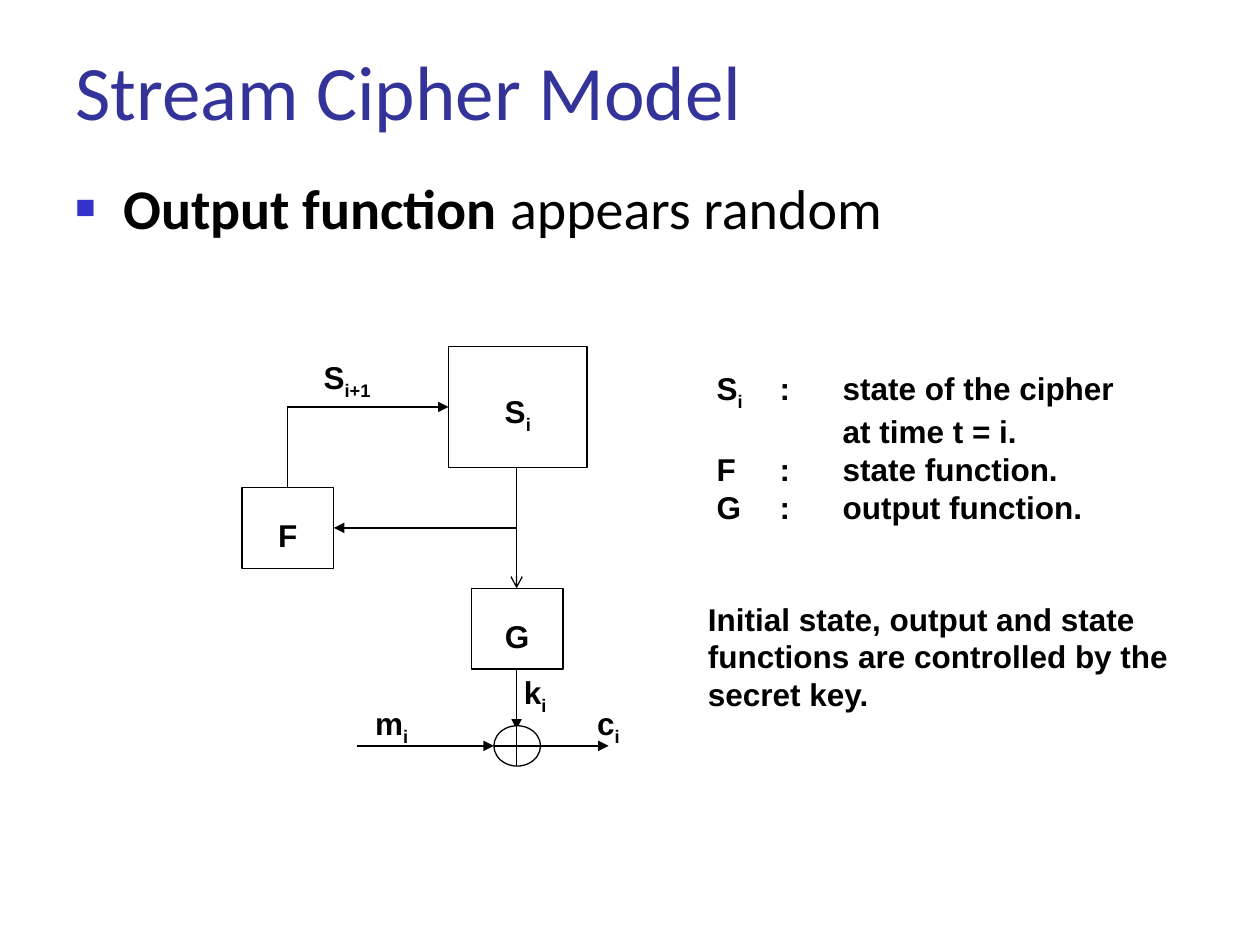
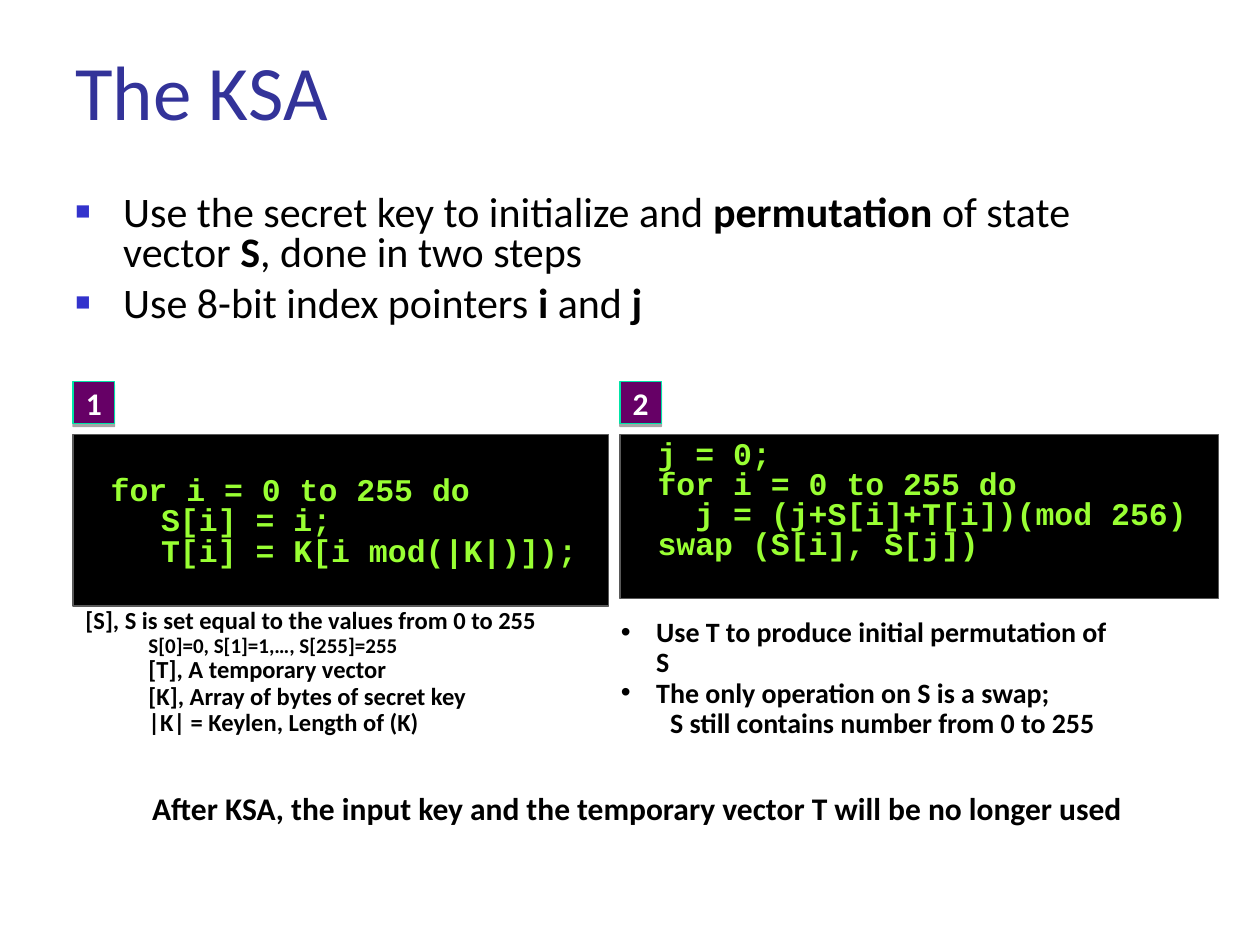
"""Build two slides on stream ciphers: the model and the key scheduling."""
from dataclasses import dataclass

from lxml.etree import SubElement
from pptx import Presentation
from pptx.dml.color import RGBColor
from pptx.enum.shapes import MSO_CONNECTOR, MSO_SHAPE
from pptx.enum.text import MSO_ANCHOR, PP_ALIGN
from pptx.oxml.ns import qn
from pptx.util import Inches, Pt

COLUMNS, ROWS = 100, 75
BLACK, WHITE = "000000", "FFFFFF"
TITLE_BLUE, BULLET_BLUE = "333399", "3333CC"
CODE_GREEN, CODE_EDGE = "99FF33", "595959"
BADGE_PURPLE, BADGE_EDGE = "660066", "00E4A7"


def color(code):
    """Turn a hex string into a colour."""
    return RGBColor.from_string(code)


def element(parent, tag, **attributes):
    """Append a drawing element to its parent."""
    return SubElement(parent, qn(f"a:{tag}"), {name: str(value) for name, value in attributes.items()})


@dataclass
class Line:
    """One paragraph; parts between tildes are accented, lengths are columns."""
    text: str
    margin: float = 0
    hang: float = 0
    bullet: str = ""
    size: float = 0
    tabs: tuple = ()


@dataclass
class Style:
    """The look shared by the paragraphs of one text."""
    size: float
    font: str = "Calibri"
    color: str = BLACK
    bold: bool = False
    accent: str = "bold"
    spacing: float = 1
    before: float = 0
    align: PP_ALIGN = PP_ALIGN.LEFT
    bullet_color: str = BLACK
    bullet_size: int = 100


TITLE = Style(44, color=TITLE_BLUE)
DIAGRAM = Style(18, font="Arial", bold=True, accent="subscript")
CODE = Style(18, font="Courier New", color=CODE_GREEN, bold=True, spacing=0.8)
BADGE = Style(18, color=WHITE, bold=True, align=PP_ALIGN.CENTER)
NODE = Style(18, font="Arial", bold=True, accent="subscript", align=PP_ALIGN.CENTER)


def note(size):
    """Give the bold note style in one size."""
    return Style(size, bold=True, spacing=0.9)


def body(size, **options):
    """Give the main bullet style in one size."""
    return Style(size, bullet_color=BULLET_BLUE, bullet_size=60, **options)


class Deck:
    """Hold the presentation and the current slide, and draw on its grid."""

    def __init__(self):
        """Start an empty deck."""
        self.presentation = Presentation()
        self.presentation.slide_width = Inches(10)
        self.presentation.slide_height = Inches(7.5)
        self.slide = None

    def x(self, columns):
        """Convert columns to a length."""
        return round(self.presentation.slide_width * columns / COLUMNS)

    def y(self, rows):
        """Convert rows to a length."""
        return round(self.presentation.slide_height * rows / ROWS)

    def area(self, left, top, width, height):
        """Convert a grid area to lengths."""
        return self.x(left), self.y(top), self.x(width), self.y(height)

    def new_slide(self, title):
        """Add a slide with its title."""
        self.slide = self.presentation.slides.add_slide(self.presentation.slide_layouts[6])
        self.text((5, 3, 90, 12.5), [title], TITLE)

    def fill_frame(self, text_frame, lines, style):
        """Fill a text frame with styled paragraphs."""
        text_frame.word_wrap = True
        for index, line in enumerate(lines):
            line = Line(line) if isinstance(line, str) else line
            paragraph = text_frame.paragraphs[0] if index == 0 else text_frame.add_paragraph()
            paragraph.alignment = style.align
            paragraph.line_spacing = style.spacing
            if index:
                paragraph.space_before = Pt(style.before)
            self.layout(paragraph, line, style)
            for position, part in enumerate(line.text.split("~")):
                if part:
                    self.run(paragraph, part, line.size or style.size, style, position % 2)

    def layout(self, paragraph, line, style):
        """Set the indents, bullet and tab stops of a paragraph."""
        properties = paragraph._p.get_or_add_pPr()
        properties.set("marL", str(self.x(line.margin)))
        properties.set("indent", str(-self.x(line.hang)))
        if line.bullet:
            element(element(properties, "buClr"), "srgbClr", val=style.bullet_color)
            element(properties, "buSzPct", val=style.bullet_size * 1000)
            element(properties, "buFont", typeface="Arial")
            element(properties, "buChar", char=line.bullet)
        else:
            element(properties, "buNone")
        if line.tabs:
            stops = element(properties, "tabLst")
            for stop in line.tabs:
                element(stops, "tab", pos=self.x(stop), algn="l")

    def run(self, paragraph, words, size, style, accented):
        """Add one run, accented or plain."""
        run = paragraph.add_run()
        run.text = words
        run.font.size = Pt(size)
        run.font.name = style.font
        run.font.color.rgb = color(style.color)
        run.font.bold = style.bold or bool(accented and style.accent == "bold")
        if accented and style.accent == "subscript":
            run.font._element.set("baseline", "-25000")

    def text(self, area, lines, style):
        """Add a text box."""
        box = self.slide.shapes.add_textbox(*self.area(*area))
        self.fill_frame(box.text_frame, lines, style)

    def shape(self, area, kind=MSO_SHAPE.RECTANGLE, fill=WHITE, edge=BLACK):
        """Add a filled and outlined shape."""
        shape = self.slide.shapes.add_shape(kind, *self.area(*area))
        shape.shadow.inherit = False
        shape.fill.solid()
        shape.fill.fore_color.rgb = color(fill)
        shape.line.color.rgb = color(edge)
        shape.line.width = Pt(0.75)
        return shape

    def node(self, area, label):
        """Add a labelled box of the diagram."""
        frame = self.shape(area).text_frame
        frame.vertical_anchor = MSO_ANCHOR.MIDDLE
        frame.margin_top = self.y(1.6)
        self.fill_frame(frame, [label], NODE)

    def code(self, area, lines, top_margin=0.5):
        """Add a black code panel."""
        frame = self.shape(area, fill=BLACK, edge=CODE_EDGE).text_frame
        frame.vertical_anchor = MSO_ANCHOR.TOP
        frame.margin_top = self.y(top_margin)
        self.fill_frame(frame, lines, CODE)

    def badge(self, left, top, number):
        """Add a numbered square with a soft shadow."""
        shape = self.shape((left, top, 3.3, 3.3), fill=BADGE_PURPLE, edge=BADGE_EDGE)
        effects = shape._element.spPr.find(qn("a:effectLst"))
        shadow = element(effects, "outerShdw", blurRad=0, dist=Pt(1.8), dir=5400000, rotWithShape=0)
        element(element(shadow, "srgbClr", val=BLACK), "alpha", val=35000)
        shape.text_frame.vertical_anchor = MSO_ANCHOR.MIDDLE
        self.fill_frame(shape.text_frame, [number], BADGE)

    def line(self, start, end, arrow=""):
        """Add a straight line, with an arrowhead at its end if named."""
        connector = self.slide.shapes.add_connector(
            MSO_CONNECTOR.STRAIGHT, self.x(start[0]), self.y(start[1]), self.x(end[0]), self.y(end[1]))
        connector.line.color.rgb = color(BLACK)
        connector.line.width = Pt(0.75)
        if arrow:
            element(connector.line._get_or_add_ln(), "tailEnd", type=arrow)
        element(connector._element.spPr, "effectLst")


def build_model(deck):
    """Draw the stream cipher model."""
    deck.new_slide("Stream Cipher Model")
    deck.text((5, 13.3, 85, 8.3), [Line("~Output function ~appears random", 3.8, 3.8, "■")], body(32))

    axis, feedback, branch, stream = 41, 22.8, 41.9, 59.2
    state_row, xor_left, xor_right, xor_top, xor_bottom = 32.3, 39.2, 42.9, 57.6, 60.8
    deck.line((axis, 37.1), (axis, 46.7), "arrow")
    deck.line((axis, branch), (26.5, branch), "triangle")
    deck.line((feedback, 38.7), (feedback, state_row))
    deck.line((feedback, state_row), (35.6, state_row), "triangle")
    deck.line((axis, 53.1), (axis, 57.9), "triangle")
    deck.shape((xor_left, xor_top, xor_right - xor_left, xor_bottom - xor_top), MSO_SHAPE.OVAL)
    deck.line((xor_left, stream), (xor_right, stream))
    deck.line((axis, xor_top), (axis, xor_bottom))
    deck.line((28.3, stream), (xor_left, stream), "triangle")
    deck.line((xor_right, stream), (48.3, stream), "triangle")

    deck.node((35.6, 27.5, 11, 9.6), "S~i~")
    deck.node((19.2, 38.7, 7.3, 6.4), "F")
    deck.node((37.4, 46.7, 7.3, 6.4), "G")
    labels = [("S~i+1~", 24.7, 27.9), ("k~i~", 40.6, 52.9), ("m~i~", 28.8, 55.4), ("c~i~", 46.4, 55.4)]
    for label, left, top in labels:
        deck.text((left, top, 8, 4.4), [label], DIAGRAM)

    stops = (4.9, 7.1)
    legend = ["S~i~\t:\tstate of the cipher", "\t\tat time t = i.",
              "F\t:\tstate function.", "G\t:\toutput function."]
    deck.text((55.9, 28.8, 34, 13.4), [Line(entry, tabs=stops) for entry in legend], DIAGRAM)
    deck.text((55.2, 47.1, 40, 10),
              ["Initial state, output and state functions are controlled by the secret key."], DIAGRAM)


def build_key_scheduling(deck):
    """Draw the two steps of the key scheduling."""
    deck.new_slide("The KSA")
    points = ["Use the secret key to initialize and ~permutation~ of state vector ~S~, done in two steps",
              "Use 8-bit index pointers ~i ~and ~j~"]
    deck.text((5, 15, 90, 12.5), [Line(point, 3.8, 3.8, "■") for point in points],
              body(24, spacing=0.8, before=6))

    first, second, code_top = 5.8, 49.2, 34.5
    fill_code = [Line("for i = 0 to 255 do", 2), "    S[i] = i;", "    T[i] = K[i mod(|K|)]);"]
    swap_code = ["j = 0;", "for i = 0 to 255 do", "  j = (j+S[i]+T[i])(mod 256)", "swap (S[i], S[j])"]
    deck.code((first, code_top, 42.5, 13.6), fill_code, top_margin=3.4)
    deck.code((second, code_top, 47.5, 13), [Line(code, 2) for code in swap_code])

    deck.text((48.3, 48.6, 41.1, 8.2),
              [Line("Use T to produce initial permutation of S", 2.8, 2.8, "•"),
               Line("The only operation on S is a swap;", 2.8, 2.8, "•"),
               Line("S still contains number from 0 to 255", 3.9)], note(16))
    deck.text((11.1, 62.5, 82, 3.7),
              ["After KSA, the input key and the temporary vector T will be no longer used"], note(18))
    details = ["[T], A temporary vector", "[K], Array of bytes of secret key", "|K| = Keylen, Length of (K)"]
    deck.text((first, 47.8, 40.8, 11.2),
              ["[S], S is set equal to the values from 0 to 255",
               Line("S[0]=0, S[1]=1,…, S[255]=255", 5, size=12),
               *[Line(detail, 5) for detail in details]], note(14))
    for number, left in (("1", first), ("2", second)):
        deck.badge(left, 30.3, number)


def main():
    """Build and save the deck."""
    deck = Deck()
    build_model(deck)
    build_key_scheduling(deck)
    deck.presentation.save("out.pptx")


if __name__ == "__main__":
    main()
